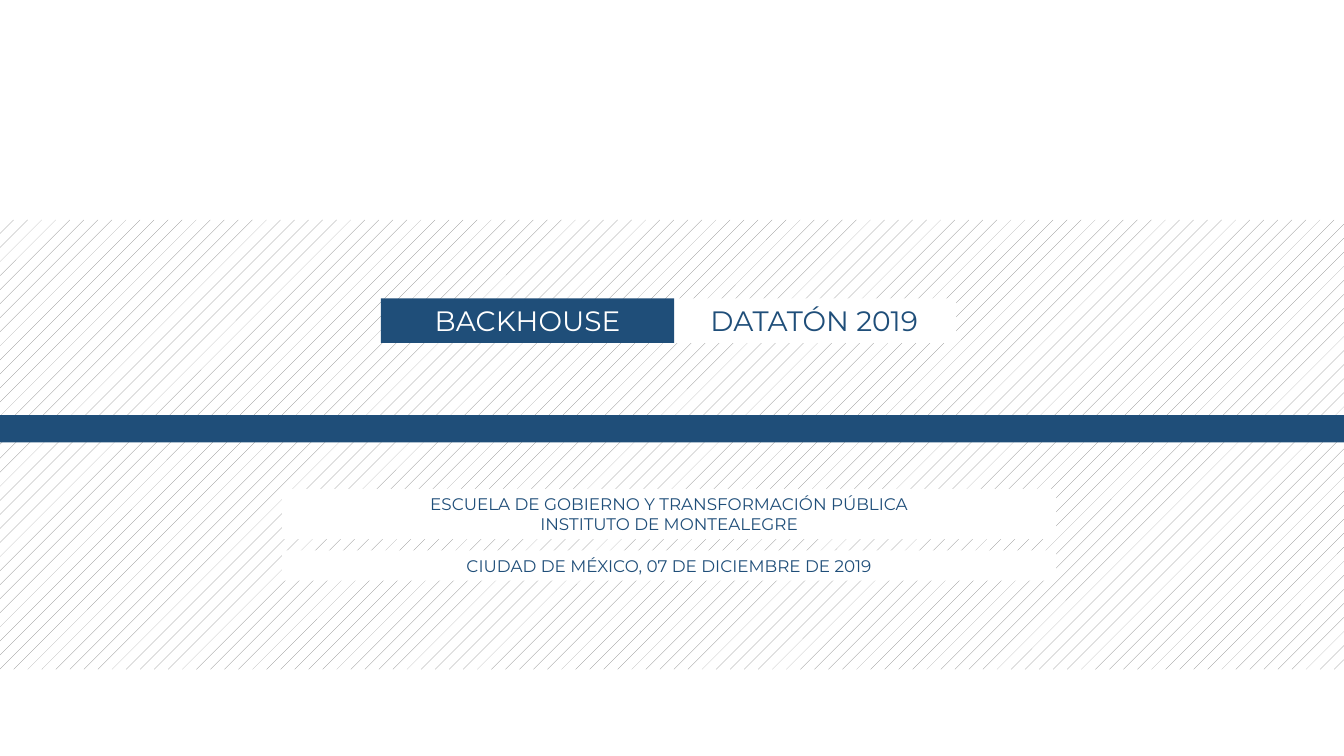
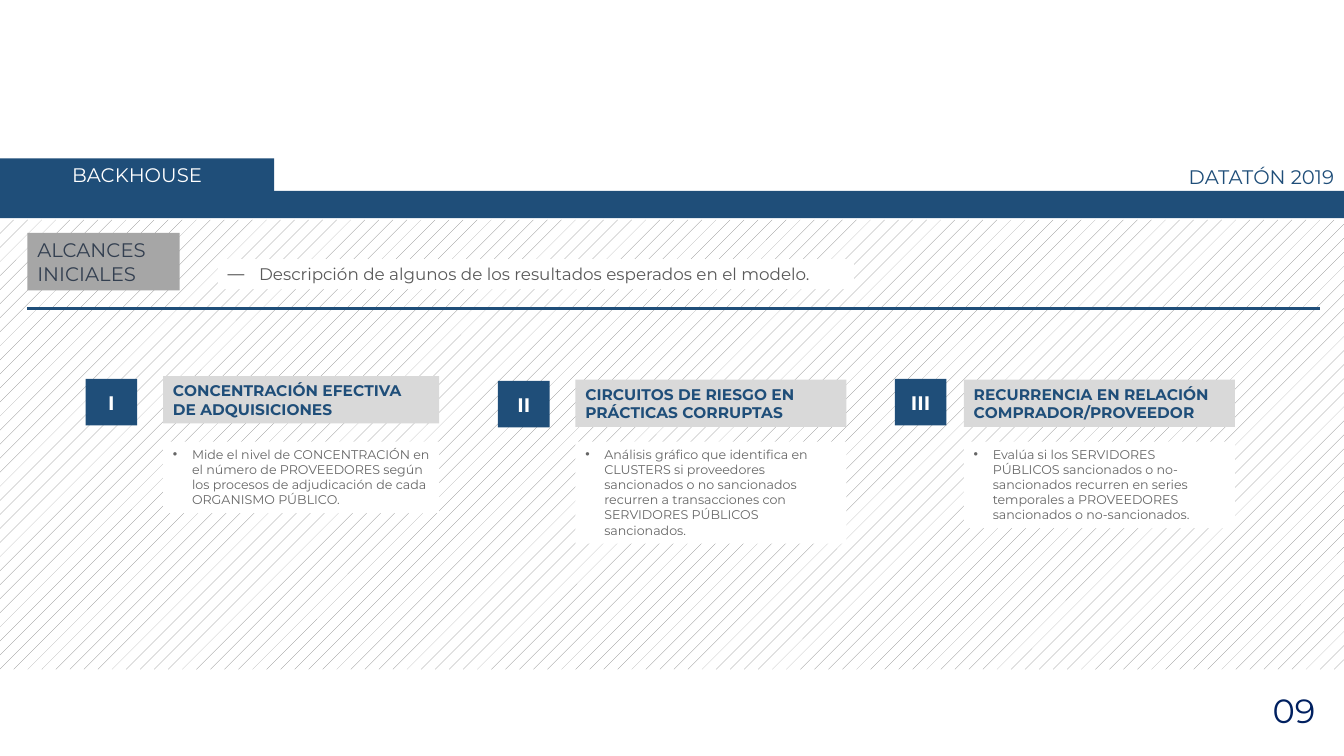
from lxml.etree import SubElement
from pptx import Presentation
from pptx.dml.color import RGBColor
from pptx.enum.dml import MSO_PATTERN
from pptx.enum.shapes import MSO_CONNECTOR, MSO_SHAPE
from pptx.enum.text import MSO_ANCHOR as Anchor, MSO_AUTO_SIZE as AutoSize, PP_ALIGN as Align
from pptx.oxml.ns import qn
from pptx.util import Cm, Pt

FONT = "Montserrat"
NAVY, WHITE = "1F4E79", "FFFFFF"
SLATE, DARK_GRAY, BODY_GRAY = "333F50", "595959", "666666"
MID_GRAY, LIGHT_GRAY, NUMBER_BLUE = "A6A6A6", "D9D9D9", "002060"
SLIDE_W, SLIDE_H = 33.87, 19.05
PROJECT, EVENT = "BACKHOUSE", "DATATÓN 2019"


def rgb(hex_color):
    """Turn a hex string into a colour."""
    return RGBColor.from_string(hex_color)


def add_panel(slide, box, fill=None):
    """Add a borderless rectangle at box (left, top, width, height in cm)."""
    panel = slide.shapes.add_shape(MSO_SHAPE.RECTANGLE, *map(Cm, box))
    panel.shadow.inherit = False
    panel.line.fill.background()
    if fill:
        panel.fill.solid()
        panel.fill.fore_color.rgb = rgb(fill)
    return panel


def add_bullet(paragraph, mark, indent):
    """Give a paragraph a hanging bullet with its indent in cm."""
    properties = paragraph._p.get_or_add_pPr()
    properties.set("marL", str(Cm(indent)))
    properties.set("indent", str(-Cm(indent)))
    SubElement(properties, qn("a:buFont"), typeface="Arial")
    SubElement(properties, qn("a:buChar"), char=mark)


def add_text(slide, box, text, size=12, color=NAVY, fill=None, bold=False,
             align=Align.LEFT, anchor=Anchor.TOP, grow=True, bullet=None, indent=0):
    """Write text in a filled panel, or in a plain text box without a fill."""
    if fill:
        holder = add_panel(slide, box, fill)
    else:
        holder = slide.shapes.add_textbox(*map(Cm, box))
    frame = holder.text_frame
    frame.word_wrap = True
    frame.vertical_anchor = anchor
    frame.auto_size = AutoSize.SHAPE_TO_FIT_TEXT if grow else AutoSize.NONE
    frame.text = text
    for paragraph in frame.paragraphs:
        paragraph.alignment = align
        if bullet:
            add_bullet(paragraph, bullet, indent)
        for run in paragraph.runs:
            run.font.name = FONT
            run.font.size = Pt(size)
            run.font.bold = bold
            run.font.color.rgb = rgb(color)


def add_rule(slide, left, top, width):
    """Draw a horizontal navy rule."""
    rule = slide.shapes.add_connector(
        MSO_CONNECTOR.STRAIGHT, Cm(left), Cm(top), Cm(left + width), Cm(top))
    rule.line.color.rgb = rgb(NAVY)
    rule.line.width = Pt(2.25)
    SubElement(rule._element.spPr, qn("a:effectLst"))


def new_slide(deck, band_top):
    """Start a slide with the hatched background and the navy band."""
    slide = deck.slides.add_slide(deck.slide_layouts[6])
    hatch = add_panel(slide, (0, 5.54, SLIDE_W, 11.33)).fill
    hatch.patterned()
    hatch.pattern = MSO_PATTERN.PERCENT_5
    hatch.fore_color.rgb = rgb("808080")
    hatch.back_color.rgb = rgb(WHITE)
    add_panel(slide, (0, band_top, SLIDE_W, 0.69), NAVY)
    return slide


def add_cover_title(slide, left, top):
    """Place the project and event names side by side."""
    project_w = 7.39
    add_text(slide, (left + project_w - 0.05, top, 7.16, 1.12), EVENT, size=20,
             fill=WHITE, align=Align.CENTER)
    add_text(slide, (left, top, project_w, 1.12), PROJECT, size=20,
             color=WHITE, fill=NAVY, align=Align.CENTER)


def add_cover_details(slide, left, top, width):
    """Place the school above the city and date."""
    school = "ESCUELA DE GOBIERNO Y TRANSFORMACIÓN PÚBLICA\nINSTITUTO DE MONTEALEGRE"
    city_date = "CIUDAD DE MÉXICO, 07 DE DICIEMBRE DE 2019"
    for text, offset, height in ((school, 0, 1.27), (city_date, 1.55, 0.76)):
        add_text(slide, (left, top + offset, width, height), text, fill=WHITE,
                 align=Align.CENTER)


def add_header(slide, top):
    """Place the project tab and the event name above the band."""
    add_text(slide, (25.27, top + 0.05, 8.6, 0.86), EVENT, size=14, align=Align.RIGHT)
    add_text(slide, (0, top, 6.91, 0.86), PROJECT, size=14, color=WHITE, fill=NAVY,
             align=Align.CENTER)


def add_section(slide, left, top, title, description):
    """Place the section title, its description and the rule below."""
    add_text(slide, (left, top, 3.84, 1.45), title, size=14, color=SLATE, fill=MID_GRAY)
    add_text(slide, (left + 4.8, top + 0.66, 16.03, 0.76), description,
             color=DARK_GRAY, fill=WHITE, bullet="—", indent=0.79)
    add_rule(slide, left, top + 1.9, 32.58)


def add_scope(slide, box, numeral, badge_left, badge_top, heading, detail):
    """Place a numbered badge, a heading and its detail in a column box."""
    left, top, width, height = box
    detail_top = 11.13
    add_text(slide, (left, detail_top, width, top + height - detail_top), detail, size=9,
             color=BODY_GRAY, fill=WHITE, bullet="•", indent=0.48)
    add_text(slide, (left, top, width, 1.19), heading, size=11, fill=LIGHT_GRAY, bold=True)
    add_text(slide, (badge_left, badge_top, 1.3, 1.17), numeral, size=14, color=WHITE,
             fill=NAVY, bold=True, align=Align.CENTER, anchor=Anchor.MIDDLE, grow=False)


def build_cover(deck):
    """Build the cover slide."""
    slide = new_slide(deck, 10.46)
    add_cover_title(slide, 9.6, 7.52)
    add_cover_details(slide, 7.11, 12.32, 19.51)


def build_scopes(deck):
    """Build the slide of expected results."""
    slide = new_slide(deck, 4.81)
    add_section(slide, 0.69, 5.87, "ALCANCES INICIALES",
                "Descripción de algunos de los resultados esperados en el modelo.")
    scopes = (
        ((4.11, 9.48, 6.96, 3.45), "I", 2.16, 9.55,
         "CONCENTRACIÓN EFECTIVA DE ADQUISICIONES",
         "Mide el nivel de CONCENTRACIÓN en el número de PROVEEDORES según los "
         "procesos de adjudicación de cada ORGANISMO PÚBLICO."),
        ((14.5, 9.57, 6.83, 4.13), "II", 12.55, 9.6,
         "CIRCUITOS DE RIESGO EN PRÁCTICAS CORRUPTAS",
         "Análisis gráfico que identifica en CLUSTERS si proveedores sancionados o no "
         "sancionados recurren a transacciones con SERVIDORES PÚBLICOS sancionados."),
        ((24.29, 9.57, 6.83, 3.74), "III", 22.55, 9.55,
         "RECURRENCIA EN RELACIÓN COMPRADOR/PROVEEDOR",
         "Evalúa si los SERVIDORES PÚBLICOS sancionados o no-sancionados recurren en "
         "series temporales a PROVEEDORES sancionados o no-sancionados."),
    )
    for scope in scopes:
        add_scope(slide, *scope)
    add_header(slide, 3.99)
    add_text(slide, (26.49, 17.25, 6.91, 1.27), "09", size=24, color=NUMBER_BLUE,
             align=Align.RIGHT)


deck = Presentation()
deck.slide_width, deck.slide_height = Cm(SLIDE_W), Cm(SLIDE_H)
build_cover(deck)
build_scopes(deck)
deck.save("out.pptx")
